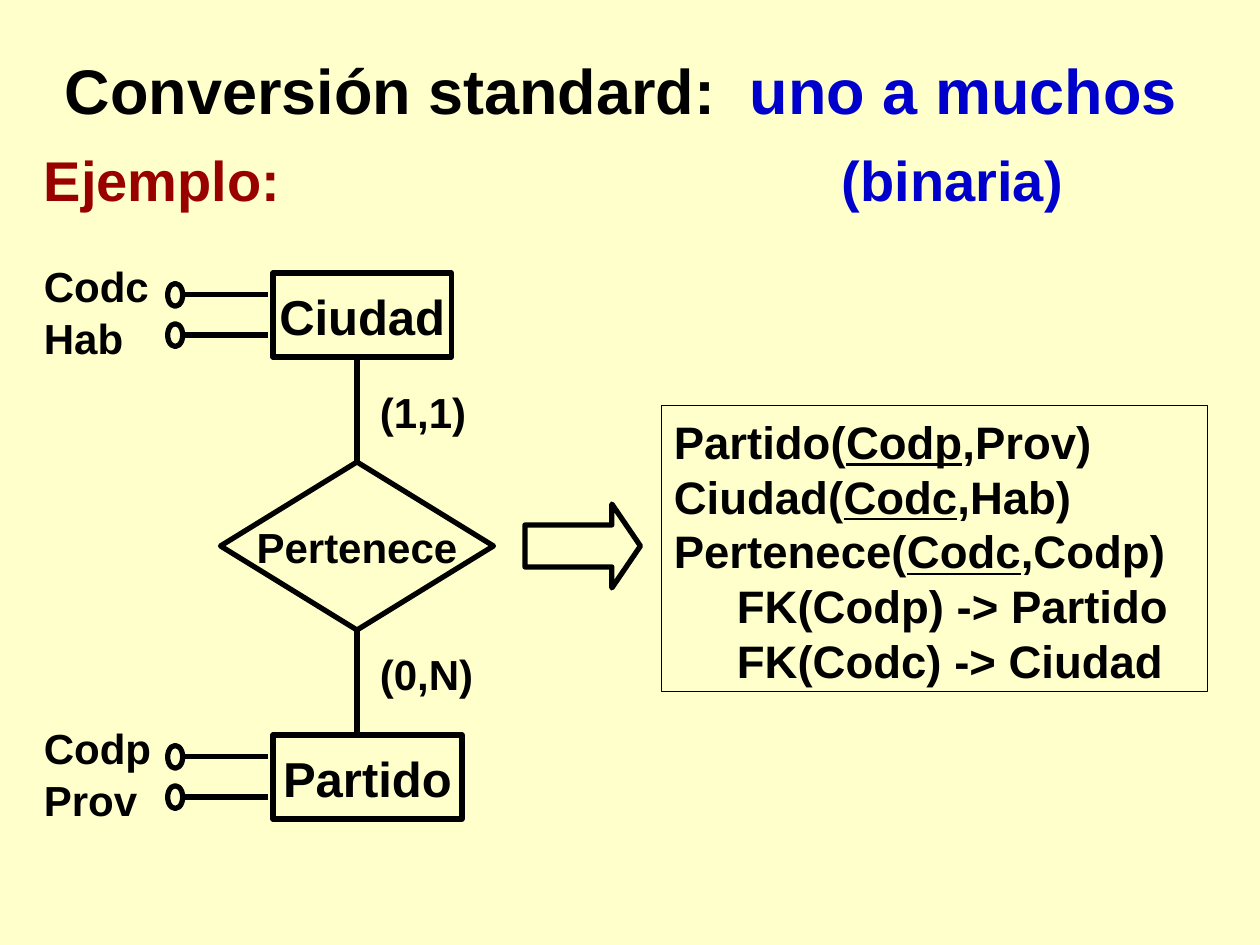
from lxml.etree import SubElement
from pptx import Presentation
from pptx.dml.color import RGBColor
from pptx.enum.shapes import MSO_CONNECTOR, MSO_SHAPE
from pptx.enum.text import MSO_ANCHOR, PP_ALIGN
from pptx.oxml.ns import qn
from pptx.util import Pt

COLORS = {"background": "FFFFCC", "ink": "000000", "blue": "0000CC", "red": "990000"}
LINE_WIDTH = 3
LABEL_HEIGHT = 36
FK_INDENT = 36
TITLE_TAB = 391.5

TITLE = [[("Conversión standard:", "ink", False), ("\tuno a muchos", "blue", False)]]
HEADINGS = [("Ejemplo:", "red", 18, 156), ("(binaria)", "blue", 474, 162)]
ENTITIES = [
    {"name": "Ciudad", "top": 156, "width": 102, "attributes": [("Codc", 84), ("Hab", 60)]},
    {"name": "Partido", "top": 420, "width": 108, "attributes": [("Codp", 84), ("Prov", 72)]},
]
ENTITY_LEFT, ENTITY_HEIGHT = 156, 48
RELATION = ("Pertenece", (126, 264, 156, 96))
CARDINALITIES = [("(1,1)", 216), ("(0,N)", 366)]
TABLES = [
    ("Partido(", "Codp", ",Prov)"),
    ("Ciudad(", "Codc", ",Hab)"),
    ("Pertenece(", "Codc", ",Codp)"),
]
FOREIGN_KEYS = ["FK(Codp) -> Partido", "FK(Codc) -> Ciudad"]


def color(name):
    return RGBColor.from_string(COLORS[name])


def set_line(line, width=LINE_WIDTH):
    line.color.rgb = color("ink")
    line.width = Pt(width)


def write(shape, paragraphs, size, align=PP_ALIGN.LEFT, anchor=MSO_ANCHOR.TOP, wrap=True):
    frame = shape.text_frame
    settings = {
        "word_wrap": wrap, "vertical_anchor": anchor,
        "margin_left": Pt(7.2), "margin_right": Pt(7.2),
        "margin_top": Pt(3.6 + size / 20), "margin_bottom": Pt(3.6),
    }
    for key, value in settings.items():
        setattr(frame, key, value)
    for index, runs in enumerate(paragraphs):
        paragraph = frame.add_paragraph() if index else frame.paragraphs[0]
        paragraph.alignment = align
        paragraph.line_spacing = Pt(size * 1.2)
        for text, ink, underlined in runs:
            run = paragraph.add_run()
            run.text = text
            font = {"name": "Arial", "size": Pt(size), "bold": True, "underline": underlined}
            for key, value in font.items():
                setattr(run.font, key, value)
            run.font.color.rgb = color(ink)
    return frame


def add_text(paragraphs, size, *box):
    return write(slide.shapes.add_textbox(*map(Pt, box)), paragraphs, size)


def add_label(text, size, *box, ink="ink"):
    add_text([[(text, ink, False)]], size, *box)


def add_outline(shapes, kind, box, width=LINE_WIDTH):
    shape = shapes.add_shape(kind, *map(Pt, box))
    shape.shadow.inherit = False
    shape.fill.background()
    set_line(shape.line, width)
    return shape


def add_node(kind, box, text, size):
    shape = add_outline(slide.shapes, kind, box)
    write(shape, [[(text, "ink", False)]], size, PP_ALIGN.CENTER, MSO_ANCHOR.MIDDLE, False)


def add_line(shapes, *ends):
    connector = shapes.add_connector(MSO_CONNECTOR.STRAIGHT, *map(Pt, ends))
    set_line(connector.line)
    SubElement(connector._element.spPr, qn("a:effectLst"))


presentation = Presentation()
presentation.slide_width, presentation.slide_height = Pt(720), Pt(540)
slide = presentation.slides.add_slide(presentation.slide_layouts[6])
slide.background.fill.solid()
slide.background.fill.fore_color.rgb = color("background")

title = add_text(TITLE, 36, 30, 24, 654, 50.4)
title_properties = title.paragraphs[0]._p.get_or_add_pPr()
tabs = SubElement(title_properties, qn("a:tabLst"))
SubElement(tabs, qn("a:tab"), pos=str(Pt(TITLE_TAB)), algn="l")

for text, ink, left, width in HEADINGS:
    add_label(text, 32, left, 78, width, 46, ink=ink)

for entity in ENTITIES:
    top = entity["top"]
    box = (ENTITY_LEFT, top, entity["width"], ENTITY_HEIGHT)
    add_node(MSO_SHAPE.RECTANGLE, box, entity["name"], 28)
    for row, (attribute, width) in enumerate(entity["attributes"]):
        add_label(attribute, 24, 18, top - 12 + 30 * row, width, LABEL_HEIGHT)
        middle = top + 12.5 + 23 * row
        group = slide.shapes.add_group_shape()
        add_line(group.shapes, 104.4, middle, 153.4, middle)
        add_outline(group.shapes, MSO_SHAPE.OVAL, (95.8, middle - 6.5, 8.6, 13))

name, relation_box = RELATION
add_node(MSO_SHAPE.DIAMOND, relation_box, name, 24)
left, top, width, height = relation_box
center = left + width / 2
add_line(slide.shapes, center, top, center, ENTITIES[0]["top"] + ENTITY_HEIGHT)
add_line(slide.shapes, center, ENTITIES[1]["top"], center, top + height)
for text, label_top in CARDINALITIES:
    add_label(text, 24, 210, label_top, 72, LABEL_HEIGHT)

arrow = add_outline(slide.shapes, MSO_SHAPE.RIGHT_ARROW, (300, 288, 66, 48))
arrow.adjustments[1] = 0.34

schema = [
    [(before, "ink", False), (key, "ink", True), (after, "ink", False)]
    for before, key, after in TABLES
] + [[(text, "ink", False)] for text in FOREIGN_KEYS]
panel = add_outline(slide.shapes, MSO_SHAPE.RECTANGLE, (378, 231.8, 312, 163.4), 0.75)
frame = write(panel, schema, 26)
for paragraph in frame.paragraphs[len(TABLES):]:
    paragraph._p.get_or_add_pPr().set("marL", str(Pt(FK_INDENT)))

presentation.save("out.pptx")
